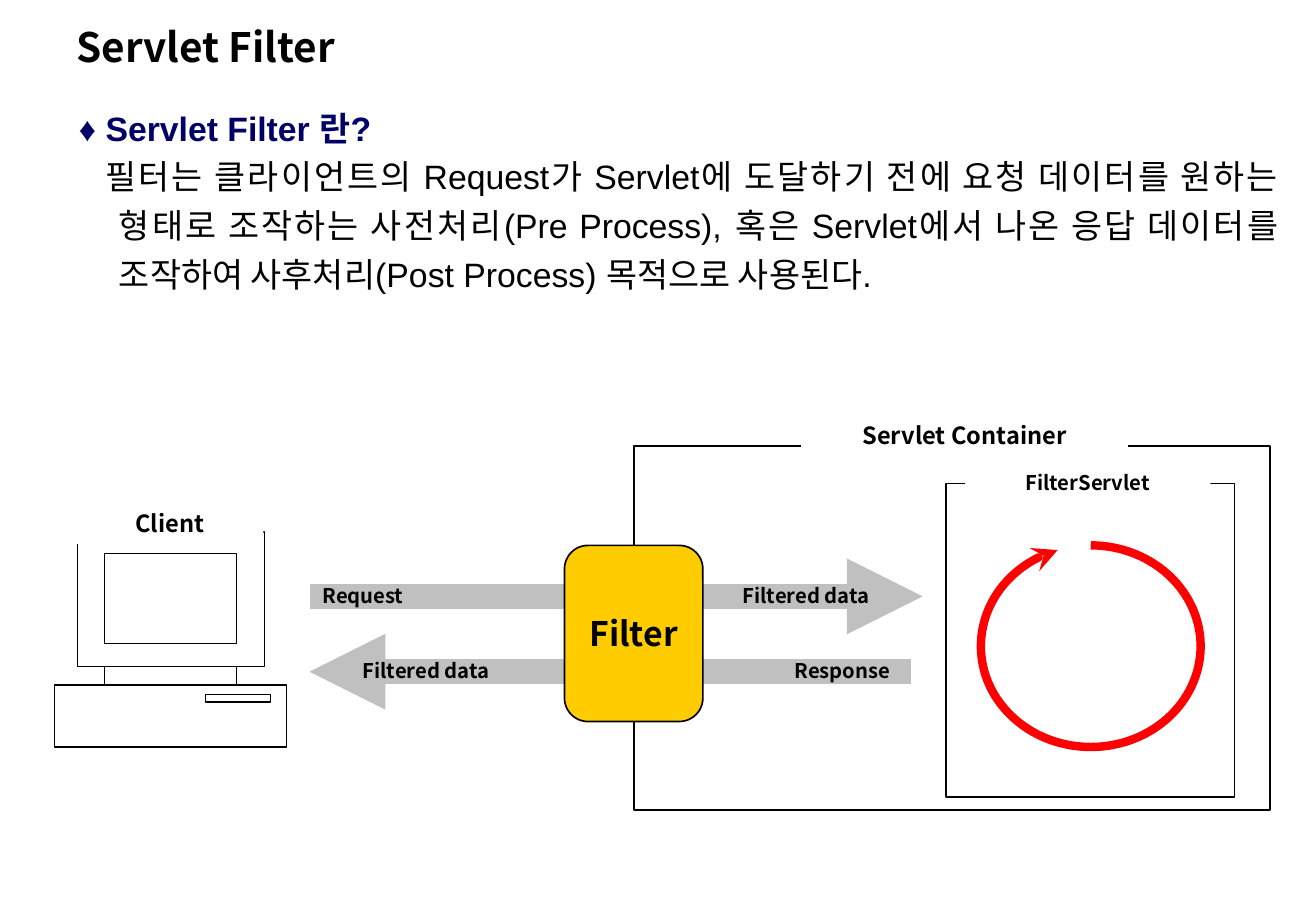
from pptx import Presentation
from pptx import util as u
from pptx.dml.color import RGBColor
from pptx.enum import shapes, text
from pptx.oxml.ns import qn
from lxml import etree

COLS, ROWS, CELL = 108.4, 75, 0.1
SANS, BODY = "Noto Sans CJK KR", "Arial"
BLACK, WHITE, GRAY, RED, GOLD, NAVY = "000000", "FFFFFF", "C0C0C0", "FF0000", "FFCC00", "000066"
RECT, ROUND = shapes.MSO_SHAPE.RECTANGLE, shapes.MSO_SHAPE.ROUNDED_RECTANGLE
LEFT, MID, JUST = text.PP_ALIGN.LEFT, text.PP_ALIGN.CENTER, text.PP_ALIGN.JUSTIFY

TITLE = "Servlet Filter"
INTRO = [
    ("♦ Servlet Filter 란?", NAVY, True, -3.3),
    ("필터는 클라이언트의 Request가 Servlet에 도달하기 전에 요청 데이터를 원하는 형태로 "
     "조작하는 사전처리(Pre Process), 혹은 Servlet에서 나온 응답 데이터를 조작하여 "
     "사후처리(Post Process) 목적으로 사용된다.", BLACK, False, -1.1),
]
FLOWS = [((75, 55.3), (25.5, 55.3)), ((25.5, 49.1), (76, 49.1))]
CLIENT = [
    (6.4, 43.8, 15.4, 11.1),
    (8.6, 54.9, 10.9, 1.5),
    (4.5, 56.4, 19.1, 5.1),
    (8.6, 45.6, 10.9, 7.4),
    (16.9, 57.2, 5.4, 0.6),
]
PARTS = [
    ("Client", (6.3, 41.4, 15.4, 3.4), RECT, WHITE, None, 14),
    ("", (52.2, 36.7, 52.4, 30), RECT, None, BLACK, 14),
    ("Servlet Container", (66, 34.1, 26.9, 3.4), RECT, WHITE, None, 14),
    ("Filter", (46.5, 44.9, 11.4, 14.5), ROUND, GOLD, BLACK, 20),
    ("", (77.9, 39.8, 23.8, 25.8), RECT, None, BLACK, 12),
    ("FilterServlet", (79.5, 38.2, 20.2, 3), RECT, WHITE, None, 12),
]
LABELS = [
    ("Request", (21.8, 47.5, 16.2, 3)),
    ("Response", (59.9, 53.7, 19, 3)),
    ("Filtered data", (56.9, 47.5, 19, 3)),
    ("Filtered data", (25.6, 53.7, 19, 3)),
]
LOOP = (80.8, 44.9, 18.1, 16.6)


def grid(*cells):
    return [u.Inches(c * CELL) for c in cells]


def color(code):
    return RGBColor.from_string(code)


def style(para, size, code=BLACK, bold=True, face=SANS, align=MID):
    para.alignment = align
    for run in para.runs:
        font = run.font
        font.size, font.bold, font.name = u.Pt(size), bold, face
        font.color.rgb = color(code)
        east = etree.SubElement(run._r.get_or_add_rPr(), qn("a:ea"))
        east.set("typeface", SANS)


def shape(kind, box, fill=None, line=None, width=1):
    item = slide.shapes.add_shape(kind, *grid(*box))
    item.shadow.inherit = False
    if fill:
        item.fill.solid()
        item.fill.fore_color.rgb = color(fill)
    else:
        item.fill.background()
    if line:
        item.line.color.rgb = color(line)
        item.line.width = u.Pt(width)
    else:
        item.line.fill.background()
    return item


def frame(box, anchor, side=0.0):
    tf = slide.shapes.add_textbox(*grid(*box)).text_frame
    tf.word_wrap = True
    tf.vertical_anchor = anchor
    tf.margin_left = tf.margin_right = u.Inches(side)
    return tf


def arrow(line, kind):
    etree.SubElement(line._get_or_add_ln(), qn("a:tailEnd")).set("type", kind)


def label(words, box, size, align=MID):
    tf = frame(box, text.MSO_ANCHOR.MIDDLE)
    tf.text = words
    style(tf.paragraphs[0], size, align=align)


def intro():
    tf = frame((6.5, 8.2, 98.8, 16.7), text.MSO_ANCHOR.TOP)
    tf.margin_top = 0
    tf.text = "\n".join(row[0] for row in INTRO)
    for para, (_, code, bold, hang) in zip(tf.paragraphs, INTRO):
        style(para, 20, code, bold, BODY, JUST)
        para.line_spacing = 1.2
        props = para._p.get_or_add_pPr()
        props.set("marL", str(grid(3.3)[0]))
        props.set("indent", str(grid(hang)[0]))


def flow(start, end):
    link = slide.shapes.add_connector(shapes.MSO_CONNECTOR.STRAIGHT, *grid(*start, *end))
    link.line.color.rgb = color(GRAY)
    link.line.width = u.Pt(15)
    arrow(link.line, "triangle")
    etree.SubElement(link._element.spPr, qn("a:effectLst"))


def part(words, box, kind, fill, line, size):
    item = shape(kind, box, fill, line)
    if kind == ROUND:
        item.adjustments[0] = 0.17
    if words:
        tf = item.text_frame
        tf.text = words
        tf.word_wrap = False
        tf.vertical_anchor = text.MSO_ANCHOR.MIDDLE
        style(tf.paragraphs[0], size)


def loop():
    ring = shape(shapes.MSO_SHAPE.ARC, LOOP, None, RED, 5)
    ring.adjustments[0], ring.adjustments[1] = 162, 150.6
    arrow(ring.line, "stealth")


deck = Presentation()
deck.slide_width, deck.slide_height = grid(COLS, ROWS)
slide = deck.slides.add_slide(deck.slide_layouts[6])

label(TITLE, (6.3, 1.6, 66.2, 4.5), 24, LEFT)
intro()
for ends in FLOWS:
    flow(*ends)
for box in CLIENT:
    shape(RECT, box, None, BLACK, 0.75)
for row in PARTS:
    part(*row)
loop()
for words, box in LABELS:
    label(words, box, 12)

deck.save("out.pptx")
